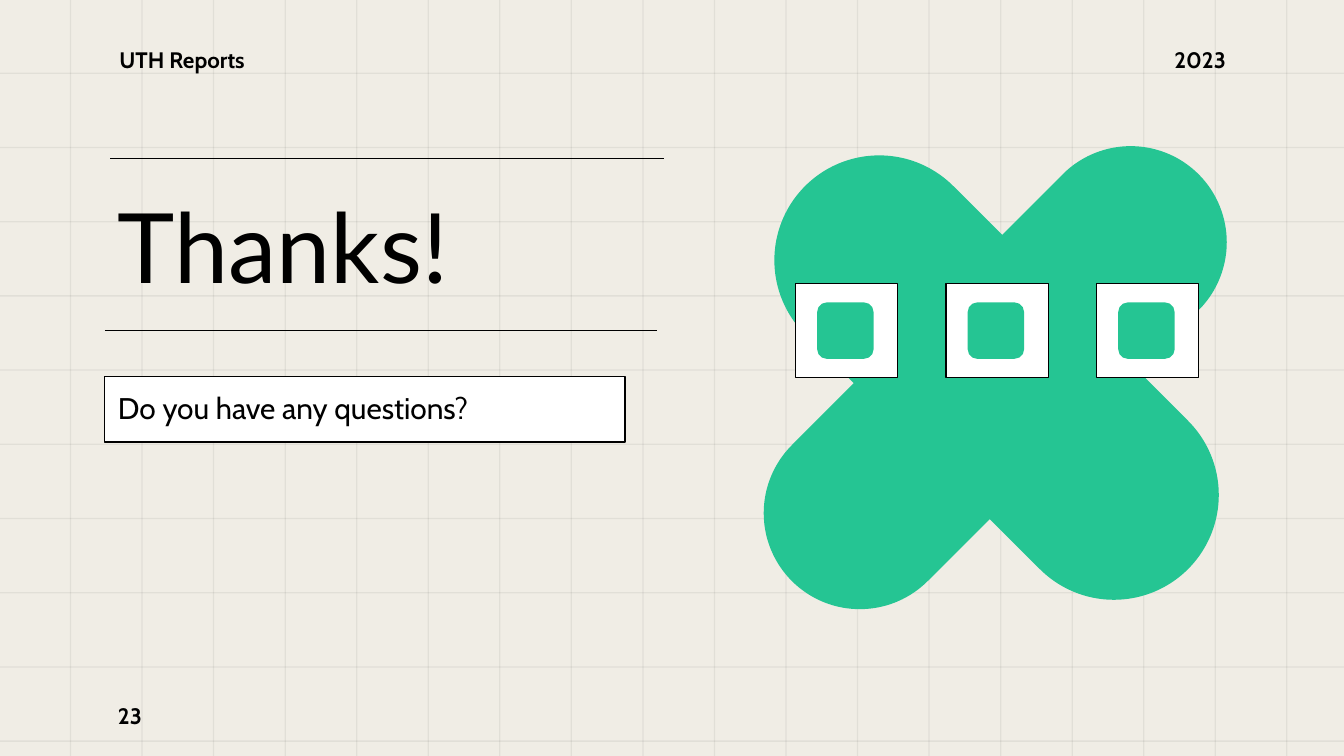
from lxml import etree
from pptx import Presentation
from pptx.dml.color import RGBColor
from pptx.enum.shapes import MSO_CONNECTOR, MSO_SHAPE
from pptx.enum.text import MSO_ANCHOR, PP_ALIGN
from pptx.oxml.ns import qn
from pptx.util import Inches, Pt

RECT = MSO_SHAPE.RECTANGLE
ROUNDED = MSO_SHAPE.ROUNDED_RECTANGLE
STRAIGHT = MSO_CONNECTOR.STRAIGHT
LEFT, RIGHT = PP_ALIGN.LEFT, PP_ALIGN.RIGHT
TOP, MIDDLE = MSO_ANCHOR.TOP, MSO_ANCHOR.MIDDLE

COLORS = {"paper": "F0EDE5", "ink": "000000", "green": "25C593", "white": "FFFFFF"}
HEADING_FONT, BODY_FONT = "Lato", "Cabin"
GRID_OPACITY = 6
OUTLINE_WIDTH = 0.75


def rgb(name):
    """Return the named palette colour."""
    return RGBColor.from_string(COLORS[name])


def add_block(slide, preset, box, color, outlined=False, opacity=None):
    """Add a filled preset shape, optionally outlined or translucent."""
    block = slide.shapes.add_shape(preset, *map(Inches, box))
    block.shadow.inherit = False
    block.fill.solid()
    block.fill.fore_color.rgb = rgb(color)
    if outlined:
        block.line.color.rgb = rgb("ink")
        block.line.width = Pt(OUTLINE_WIDTH)
    else:
        block.line.fill.background()
    if opacity is not None:
        solid = block._element.spPr.find(qn("a:solidFill"))
        etree.SubElement(solid[0], qn("a:alpha"), val=str(opacity * 1000))
    return block


def add_pill(slide, box):
    """Add a fully rounded green bar turned by 45 degrees."""
    pill = add_block(slide, ROUNDED, box, "green")
    pill.adjustments[0] = 0.5
    pill.rotation = 45


def write(holder, text, size, font=BODY_FONT, bold=False, align=LEFT, anchor=TOP):
    """Put one formatted line of text into a shape or text box."""
    frame = holder.text_frame
    frame.word_wrap = True
    frame.vertical_anchor = anchor
    frame.margin_left = frame.margin_right = Inches(0.1)
    frame.margin_top = frame.margin_bottom = Inches(0.1)
    frame.text = text
    paragraph = frame.paragraphs[0]
    paragraph.alignment = align
    style = paragraph.runs[0].font
    style.name, style.size, style.bold = font, Pt(size), bold
    style.color.rgb = rgb("ink")


def add_text(slide, box, text, size, **style):
    """Add a text box holding one line."""
    write(slide.shapes.add_textbox(*map(Inches, box)), text, size, **style)


def add_rule(slide, left, right, y):
    """Add a thin horizontal rule."""
    rule = slide.shapes.add_connector(STRAIGHT, *map(Inches, (left, y, right, y)))
    rule.line.color.rgb = rgb("ink")
    rule.line.width = Pt(OUTLINE_WIDTH)
    etree.SubElement(rule._element.spPr, qn("a:effectLst"))


def add_grid(slide):
    """Draw the faint squared-paper lines."""
    columns = [(0.52 + 9.05 * i / 17, -0.05, 0.01, 5.73) for i in range(18)]
    rows = [(-0.1, 0.54 + 4.97 * i / 9, 10.2, 0.01) for i in range(10)]
    for box in columns + rows:
        add_block(slide, RECT, box, "ink", opacity=GRID_OPACITY)


def add_social_tile(slide, left):
    """Add a white tile with a plain rounded icon in it."""
    add_block(slide, RECT, (left, 2.11, 0.76, 0.7), "white", outlined=True)
    icon = add_block(slide, ROUNDED, (left + 0.16, 2.25, 0.42, 0.42), "green")
    icon.adjustments[0] = 0.17


def main():
    """Build the closing slide."""
    deck = Presentation()
    deck.slide_width = Inches(10)
    deck.slide_height = Inches(10 * 9 / 16)
    slide = deck.slides.add_slide(deck.slide_layouts[6])
    slide.background.fill.solid()
    slide.background.fill.fore_color.rgb = rgb("paper")

    add_grid(slide)
    add_pill(slide, (6.69, 0.67, 1.43, 4.28))
    add_pill(slide, (5.4, 2.03, 4.03, 1.56))

    add_text(slide, (0.78, 5.11, 0.6, 0.43), "23", 12, bold=True, anchor=MIDDLE)
    add_text(slide, (0.78, 1.29, 3.87, 1.09), "Thanks!", 52, font=HEADING_FONT)
    add_text(slide, (0.79, 0.24, 2.31, 0.34), "UTH Reports", 12, bold=True)
    add_text(slide, (6.91, 0.24, 2.31, 0.34), "2023", 12, bold=True, align=RIGHT)

    question = add_block(slide, RECT, (0.78, 2.8, 3.87, 0.49), "white", outlined=True)
    write(question, "Do you have any questions?", 16)

    for i in range(3):
        add_social_tile(slide, 5.92 + 1.12 * i)
    add_rule(slide, 0.82, 4.94, 1.18)
    add_rule(slide, 0.78, 4.89, 2.46)

    deck.save("out.pptx")


if __name__ == "__main__":
    main()
